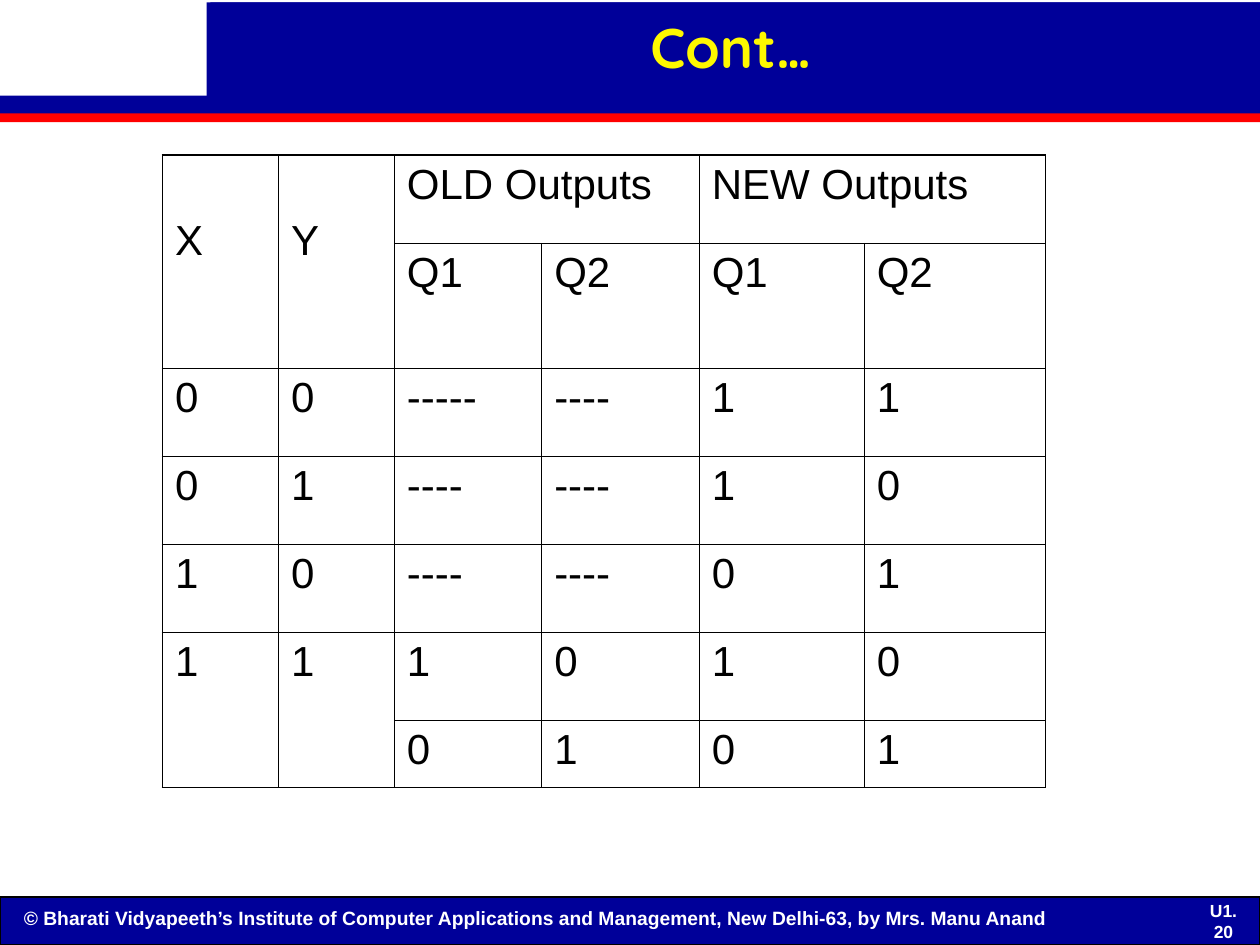
from lxml.etree import SubElement
from pptx import Presentation
from pptx.dml.color import RGBColor
from pptx.enum.shapes import MSO_SHAPE
from pptx.enum.text import MSO_ANCHOR, PP_ALIGN
from pptx.oxml.ns import qn
from pptx.util import Inches, Pt

NAVY = RGBColor(0x00, 0x00, 0x99)
RED = RGBColor(0xFF, 0x00, 0x00)
YELLOW = RGBColor(0xFE, 0xF8, 0x00)
WHITE = RGBColor(0xFF, 0xFF, 0xFF)
BLACK = RGBColor(0x00, 0x00, 0x00)

HEADER_BANDS = [
    (0, 0.76, 10, 0.16, NAVY),
    (0, 0.92, 10, 0.05, RED),
    (1.64, 0.02, 8.36, 0.76, NAVY),
    (0, 0.9, 10, 0.05, RED),
    (1.67, 0.02, 8.33, 0.8, NAVY),
]
COLUMN_WIDTHS = [0.92, 0.92, 1.17, 1.25, 1.31, 1.44]
ROW_HEIGHTS = [0.7, 0.99, 0.7, 0.7, 0.7, 0.7, 0.53]
TRUTH_TABLE = [
    ["X", "Y", "OLD Outputs", "", "NEW Outputs", ""],
    ["", "", "Q1", "Q2", "Q1", "Q2"],
    ["0", "0", "-----", "----", "1", "1"],
    ["0", "1", "----", "----", "1", "0"],
    ["1", "0", "----", "----", "0", "1"],
    ["1", "1", "1", "0", "1", "0"],
    ["", "", "0", "1", "0", "1"],
]
MERGES = [
    ((0, 0), (1, 0)), ((0, 1), (1, 1)),
    ((0, 2), (0, 3)), ((0, 4), (0, 5)),
    ((5, 0), (6, 0)), ((5, 1), (6, 1)),
]
INPUT_HEADING_TOP = 0.5
OUTER_BORDER, INNER_BORDER = Pt(1.08), Pt(0.45)


def add_run(paragraph, text, size, color, font="Arial", bold=False):
    """Add one formatted run to a paragraph."""
    run = paragraph.add_run()
    run.text = text
    run.font.name = font
    run.font.size = Pt(size)
    run.font.bold = bold
    run.font.color.rgb = color


def add_band(slide, left, top, width, height, color):
    """Add a flat rectangle without an outline."""
    band = slide.shapes.add_shape(
        MSO_SHAPE.RECTANGLE, Inches(left), Inches(top), Inches(width), Inches(height))
    band.shadow.inherit = False
    band.fill.solid()
    band.fill.fore_color.rgb = color
    band.line.fill.background()
    return band


def add_label(slide, left, top, width, height, text, size, align, anchor):
    """Add a bold white label."""
    label = slide.shapes.add_textbox(
        Inches(left), Inches(top), Inches(width), Inches(height))
    frame = label.text_frame
    frame.word_wrap = True
    frame.vertical_anchor = anchor
    frame.paragraphs[0].alignment = align
    add_run(frame.paragraphs[0], text, size, WHITE, bold=True)


def add_footer(slide):
    """Add the footer bar with the copyright line and the page number."""
    bar = add_band(slide, 0, 7.12, 10, 0.38, NAVY)
    bar.line.color.rgb = BLACK
    bar.line.width = Pt(0.75)
    add_label(slide, 0.09, 7.14, 9.18, 0.29,
              "© Bharati Vidyapeeth’s Institute of Computer Applications and "
              "Management, New Delhi-63, by Mrs. Manu Anand",
              11, PP_ALIGN.LEFT, MSO_ANCHOR.TOP)
    add_label(slide, 9.45, 7.19, 0.52, 0.24, "U1. 20",
              10, PP_ALIGN.CENTER, MSO_ANCHOR.MIDDLE)


def place_title(slide, text):
    """Format the title placeholder and bring it in front of the bands."""
    title = slide.shapes.title
    title.left, title.top = Inches(1.6), Inches(0)
    title.width, title.height = Inches(8.4), Inches(0.8)
    frame = title.text_frame
    frame.margin_left = frame.margin_right = Inches(0.07)
    frame.margin_top = frame.margin_bottom = Inches(0.03)
    frame.vertical_anchor = MSO_ANCHOR.MIDDLE
    heading = frame.paragraphs[0]
    heading.alignment = PP_ALIGN.CENTER
    heading.line_spacing = 0.88
    add_run(heading, text, 32, YELLOW, "Quicksand", True)
    slide.shapes._spTree.append(title._element)


def set_borders(cell, row, column):
    """Draw heavy borders on the table's edge and thin ones inside."""
    on_edge = {
        "a:lnL": column == 0,
        "a:lnR": column + cell.span_width == len(COLUMN_WIDTHS),
        "a:lnT": row == 0,
        "a:lnB": row + cell.span_height == len(ROW_HEIGHTS),
    }
    properties = cell._tc.get_or_add_tcPr()
    for tag, heavy in on_edge.items():
        width = OUTER_BORDER if heavy else INNER_BORDER
        border = SubElement(properties, qn(tag), w=str(int(width)))
        fill = SubElement(border, qn("a:solidFill"))
        SubElement(fill, qn("a:srgbClr"), val=str(BLACK))


def add_truth_table(slide):
    """Add the table of inputs with old and new outputs."""
    table = slide.shapes.add_table(
        len(ROW_HEIGHTS), len(COLUMN_WIDTHS), Inches(1.29), Inches(1.23),
        Inches(sum(COLUMN_WIDTHS)), Inches(sum(ROW_HEIGHTS))).table
    table.first_row = table.horz_banding = False
    for column, width in zip(table.columns, COLUMN_WIDTHS):
        column.width = Inches(width)
    for row, height in zip(table.rows, ROW_HEIGHTS):
        row.height = Inches(height)
    for first, last in MERGES:
        table.cell(*first).merge(table.cell(*last))
    for row, values in enumerate(TRUTH_TABLE):
        for column, value in enumerate(values):
            cell = table.cell(row, column)
            if cell.is_spanned:
                continue
            if value in ("X", "Y"):
                cell.margin_top = Inches(INPUT_HEADING_TOP)
            add_run(cell.text_frame.paragraphs[0], value, 24, BLACK)
            set_borders(cell, row, column)
            cell.fill.background()


def main():
    """Build the slide and save it."""
    presentation = Presentation()
    presentation.slide_width = Inches(10)
    presentation.slide_height = Inches(7.5)
    slide = presentation.slides.add_slide(presentation.slide_layouts[5])
    add_footer(slide)
    for band in HEADER_BANDS:
        add_band(slide, *band)
    place_title(slide, "Cont…")
    add_truth_table(slide)
    presentation.save("out.pptx")


if __name__ == "__main__":
    main()
